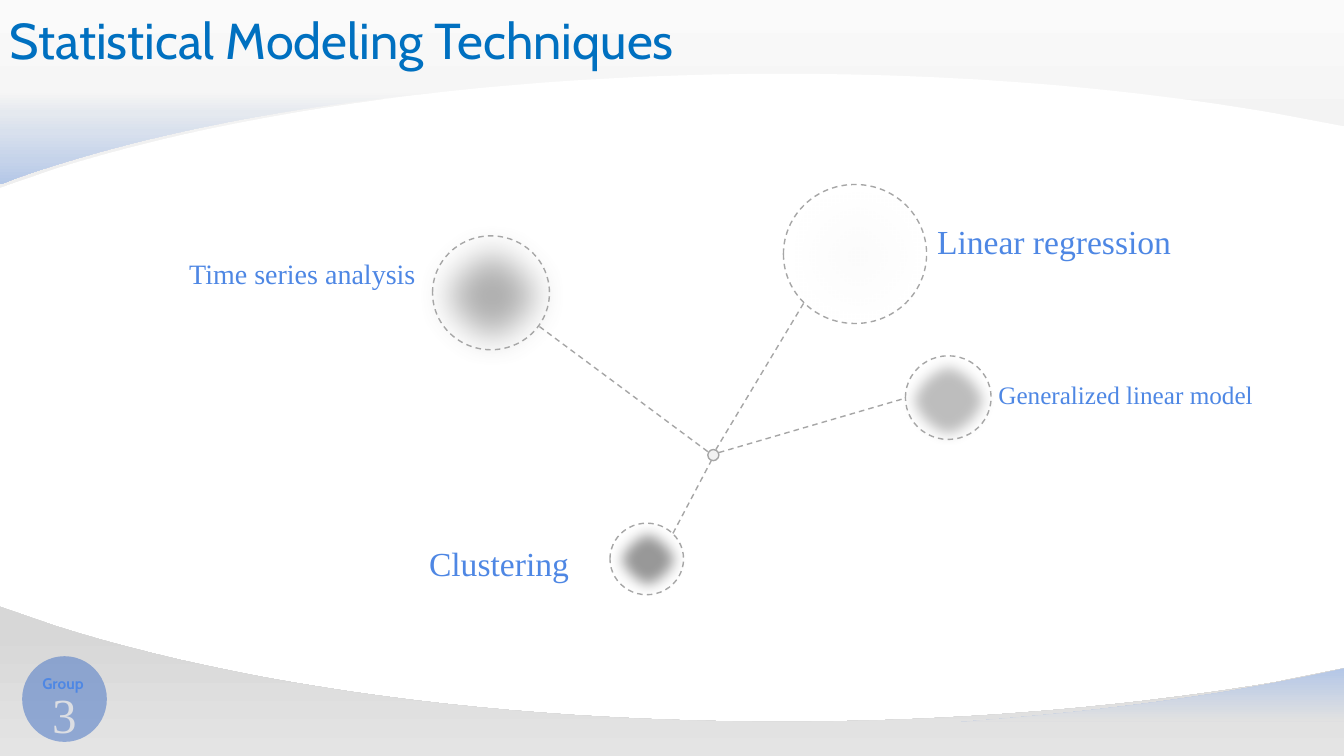
from lxml import etree
from pptx import Presentation
from pptx.dml.color import RGBColor
from pptx.enum.dml import MSO_LINE
from pptx.enum.shapes import MSO_CONNECTOR, MSO_SHAPE
from pptx.enum.text import MSO_ANCHOR, PP_ALIGN
from pptx.oxml.ns import qn
from pptx.util import Inches, Pt

DASH = MSO_LINE.DASH
OVAL = MSO_SHAPE.OVAL
LINE = MSO_CONNECTOR.STRAIGHT
LEFT, CENTER = PP_ALIGN.LEFT, PP_ALIGN.CENTER
TOP = MSO_ANCHOR.TOP

HUES = {
    "title": "0070C0", "label": "4E87E4", "badge": "4472C4",
    "digit": "DCDEE3", "gray": "A6A6A6", "dark": "999999", "hub": "F2F2F2",
}
SERIF, SANS = "Times New Roman", "Cabin"
UNITS = 1000  # outline units per inch
STEPS = 24    # segments per curve

# Outlines: a pair is a line end, six values are a Bezier curve
BANDS = [
    [(0, 6.02), (0.55, 6.21), (2.4, 6.8, 4.95, 7.16, 7.77, 7.16),
     (9.53, 7.16, 11.19, 7.01, 12.64, 6.77), (13.33, 6.63),
     (13.33, 7.5), (0, 7.5)],
    [(0, 0), (13.33, 0), (13.33, 1.25), (12.64, 1.12),
     (11.19, 0.87, 9.53, 0.73, 7.77, 0.73),
     (4.95, 0.73, 2.4, 1.09, 0.55, 1.67), (0, 1.86)],
]
UPPER = [[(0, 0.92), (4.3, 0.92), (4, 0.95),
          (2.54, 1.11, 1.24, 1.39, 0.18, 1.76), (0, 1.83)]]
LOWER = [[(13.33, 6.63), (13.33, 7.16), (9.53, 7.16), (9.57, 7.16),
          (10.94, 7.06, 12.17, 6.89, 13.16, 6.67)]]

# Outline and gradient stops of each backdrop part
BACKDROP = [
    (BANDS, [(0, "FAFAFA"), (74, "D7D7D7"), (83, "D7D7D7"), (100, "E4E4E4")]),
    (UPPER, [(0, "F5F5F5"), (22, "E5E9EF"), (43, "D8E0ED"),
             (73, "C5D3EA"), (100, "B4C7E7")]),
    (LOWER, [(0, "B4C7E7"), (100, "E1E1E1")]),
]

# Spokes from the hub: start, end
SPOKES = [
    (7.02, 4.48, 5.35, 3.24), (7.97, 3.01, 7.1, 4.46),
    (7.06, 4.56, 6.67, 5.3), (7.13, 4.49, 8.98, 3.95),
]
# Soft discs: box, colour, opacity, edge softness in points
DISCS = [
    ((6.01, 5.14, 0.84, 0.82), "dark", 100, 10),
    ((8.91, 3.49, 0.99, 0.97), "gray", 73, 10),
    ((4.02, 2.1, 1.72, 1.67), "gray", 87, 25),
]
GLOW = ((7.4, 1.45, 2.22, 2.19), "gray", 36, 50)
RINGS = [
    (4.29, 2.34, 1.16, 1.13), (7.77, 1.83, 1.42, 1.38),
    (8.98, 3.53, 0.85, 0.83), (6.05, 5.19, 0.73, 0.71),
]
LABELS = [
    ("Linear regression", (9.18, 2.19, 2.55, 0.4), 24),
    ("Time series analysis", (1.77, 2.54, 2.46, 0.34), 20),
    ("Generalized linear model", (9.78, 3.76, 2.77, 0.3), 18),
    ("Clustering", (4.15, 5.39, 1.6, 0.4), 24),
]


def rgb(name):
    return RGBColor.from_string(HUES[name])


def inches(box):
    return [Inches(v) for v in box]


def assign(target, values):
    for name, value in values.items():
        setattr(target, name, value)


def flatten(steps):
    """Turn lines and curves into a list of points."""
    points = []
    for step in steps:
        if len(step) == 2:
            points.append(step)
            continue
        ctrl = [points[-1], step[:2], step[2:4], step[4:]]
        for i in range(1, STEPS + 1):
            t = i / STEPS
            parts = ((1 - t) ** 3, 3 * t * (1 - t) ** 2,
                     3 * t * t * (1 - t), t ** 3)
            points.append(tuple(
                sum(w * p[axis] for w, p in zip(parts, ctrl))
                for axis in (0, 1)))
    return [(round(x * UNITS), round(y * UNITS)) for x, y in points]


def add_part(slide, paths, stops):
    """Backdrop outline with a downward gradient."""
    first, *others = [flatten(steps) for steps in paths]
    pen = slide.shapes.build_freeform(*first[0], scale=Inches(1) / UNITS)
    pen.add_line_segments(first[1:], close=True)
    for points in others:
        pen.move_to(*points[0])
        pen.add_line_segments(points[1:], close=True)
    shape = pen.convert_to_shape()
    shape.shadow.inherit = False
    shape.line.fill.background()
    shape.fill.gradient()
    shape.fill.gradient_angle = 270
    table = shape.fill._fill._gradFill.find(qn("a:gsLst"))
    for stop in list(table):
        table.remove(stop)
    for pos, hue in stops:
        stop = etree.SubElement(table, qn("a:gs"), pos=str(pos * 1000))
        etree.SubElement(stop, qn("a:srgbClr"), val=hue)


def add_oval(slide, box, hue=None, alpha=100, edge=None, soft=0, dash=None):
    shape = slide.shapes.add_shape(OVAL, *inches(box))
    shape.shadow.inherit = False
    if hue:
        shape.fill.solid()
        shape.fill.fore_color.rgb = rgb(hue)
    else:
        shape.fill.background()
    props = shape._element.spPr
    if alpha < 100:
        color = props.find(qn("a:solidFill"))[0]
        etree.SubElement(color, qn("a:alpha"), val=str(alpha * 1000))
    if edge:
        stroke(shape.line, edge, dash)
    else:
        shape.line.fill.background()
    if soft:
        effects = props.find(qn("a:effectLst"))
        etree.SubElement(effects, qn("a:softEdge"), rad=str(Pt(soft)))
    return shape


def stroke(line, hue, dash):
    line.color.rgb = rgb(hue)
    assign(line, {"width": Pt(1), "dash_style": dash})


def add_spoke(slide, ends):
    spoke = slide.shapes.add_connector(LINE, *inches(ends))
    stroke(spoke.line, "gray", DASH)
    etree.SubElement(spoke._element.spPr, qn("a:effectLst"))


def add_text(slide, text, box, size, hue, face=SERIF, align=CENTER,
             pad=0, wrap=False, bold=False):
    frame = slide.shapes.add_textbox(*inches(box)).text_frame
    assign(frame, {
        "word_wrap": wrap, "vertical_anchor": TOP,
        "margin_left": Inches(0.1), "margin_right": Inches(0.1),
        "margin_top": Inches(pad), "margin_bottom": Inches(pad),
    })
    para = frame.paragraphs[0]
    para.alignment = align
    run = para.add_run()
    run.text = text
    assign(run.font, {"name": face, "size": Pt(size), "bold": bold})
    run.font.color.rgb = rgb(hue)


def main():
    deck = Presentation()
    assign(deck, {"slide_width": Inches(13.33), "slide_height": Inches(7.5)})
    slide = deck.slides.add_slide(deck.slide_layouts[6])

    # Backdrop
    for paths, stops in BACKDROP:
        add_part(slide, paths, stops)

    # Group badge
    add_oval(slide, (0.22, 6.51, 0.84, 0.85), "badge", 52)
    add_text(slide, "Group", (0.22, 6.69, 0.81, 0.2), 11, "label",
             face=SANS, bold=True)
    add_text(slide, "3", (0.22, 6.79, 0.84, 0.55), 35, "digit")

    # Title
    add_text(slide, "Statistical Modeling Techniques", (0, 0.04, 7.84, 0.71),
             36, "title", face=SANS, align=LEFT, pad=0.05, wrap=True)

    # Network
    for ends in SPOKES:
        add_spoke(slide, ends)
    for box, hue, alpha, soft in DISCS:
        add_oval(slide, box, hue, alpha, soft=soft)
    for box in RINGS:
        add_oval(slide, box, edge="gray", dash=DASH)
    add_oval(slide, (7.02, 4.46, 0.11, 0.11), "hub", edge="gray")
    for text, box, size in LABELS:
        add_text(slide, text, box, size, "label")
    box, hue, alpha, soft = GLOW
    add_oval(slide, box, hue, alpha, soft=soft)

    deck.save("out.pptx")


if __name__ == "__main__":
    main()
